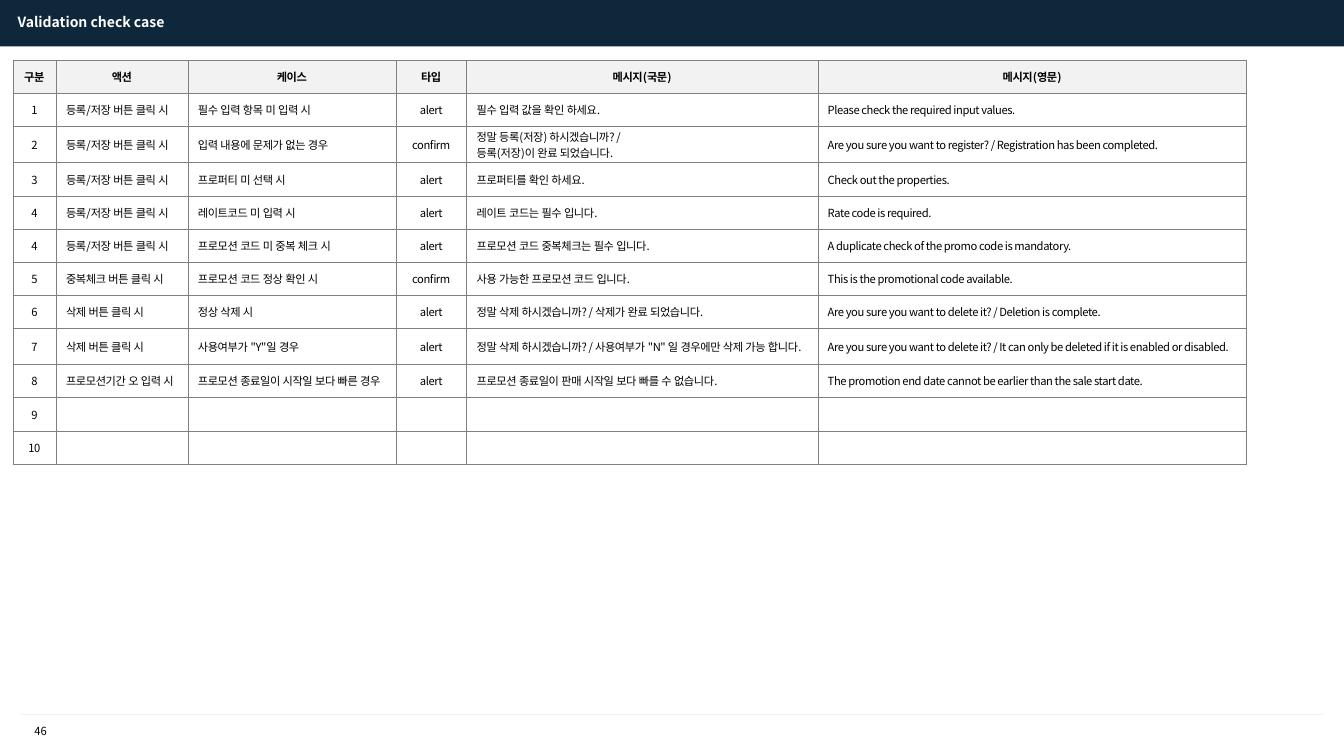
from dataclasses import dataclass

from lxml.etree import SubElement
from pptx import Presentation
from pptx.dml.color import RGBColor
from pptx.enum.lang import MSO_LANGUAGE_ID as LANG
from pptx.enum.shapes import MSO_CONNECTOR, MSO_SHAPE
from pptx.enum.text import MSO_ANCHOR as ANCHOR, MSO_AUTO_SIZE as FIT, PP_ALIGN as ALIGN
from pptx.oxml.ns import qn
from pptx.util import Pt


@dataclass(frozen=True)
class Theme:
    font: str = "Noto Sans CJK KR"
    navy: str = "0E273B"
    white: str = "FFFFFF"
    black: str = "000000"
    pale: str = "F2F2F2"
    border: str = "808080"
    title_size: float = 10
    body_size: float = 8
    spacing: float = -0.3


THEME = Theme()
TITLE_ONLY = 5
COLUMN_WIDTHS = (30.9, 94.2, 148.6, 50.5, 250.8, 306.4)
ROW_HEIGHT = 23.7
CENTRED_COLUMNS = (0, 3)
HEADER = ("구분", "액션", "케이스", "타입", "메시지(국문)", "메시지(영문)")
SAVE = "등록/저장 버튼 클릭 시"
DELETE = "삭제 버튼 클릭 시"
CASES = (
    ("1", SAVE, "필수 입력 항목 미 입력 시", "alert",
     "필수 입력 값을 확인 하세요.", "Please check the required input values."),
    ("2", SAVE, "입력 내용에 문제가 없는 경우", "confirm",
     "정말 등록(저장) 하시겠습니까? /\n등록(저장)이 완료 되었습니다.",
     "Are you sure you want to register? / Registration has been completed."),
    ("3", SAVE, "프로퍼티 미 선택 시", "alert",
     "프로퍼티를 확인 하세요.", "Check out the properties."),
    ("4", SAVE, "레이트코드 미 입력 시", "alert",
     "레이트 코드는 필수 입니다.", "Rate code is required."),
    ("4", SAVE, "프로모션 코드 미 중복 체크 시", "alert",
     "프로모션 코드 중복체크는 필수 입니다.",
     "A duplicate check of the promo code is mandatory."),
    ("5", "중복체크 버튼 클릭 시", "프로모션 코드 정상 확인 시", "confirm",
     "사용 가능한 프로모션 코드 입니다.", "This is the promotional code available."),
    ("6", DELETE, "정상 삭제 시", "alert",
     "정말 삭제 하시겠습니까? / 삭제가 완료 되었습니다.",
     "Are you sure you want to delete it? / Deletion is complete."),
    ("7", DELETE, '사용여부가 "Y"일 경우', "alert",
     '정말 삭제 하시겠습니까? / 사용여부가 "N" 일 경우에만 삭제 가능 합니다.',
     "Are you sure you want to delete it? / It can only be deleted if it is enabled or disabled."),
    ("8", "프로모션기간 오 입력 시", "프로모션 종료일이 시작일 보다 빠른 경우", "alert",
     "프로모션 종료일이 판매 시작일 보다 빠를 수 없습니다.",
     "The promotion end date cannot be earlier than the sale start date."),
    ("9", "", "", "", "", ""),
    ("10", "", "", "", "", ""),
)


def rgb(color):
    return RGBColor.from_string(color)


def write(tf, text, size, color, bold=False, align=ALIGN.LEFT, spacing=0):
    """Fill a text frame with one paragraph per line of text."""
    for i, line in enumerate(text.split("\n")):
        p = tf.paragraphs[0] if i == 0 else tf.add_paragraph()
        p.alignment = align
        if not line:
            SubElement(p._p, qn("a:endParaRPr"), sz=str(int(size * 100)))
            continue
        r = p.add_run()
        r.text = line
        r.font.size = Pt(size)
        r.font.bold = bold
        r.font.color.rgb = rgb(color)
        r.font.name = THEME.font
        r.font.language_id = LANG.KOREAN
        props = r._r.get_or_add_rPr()
        SubElement(props, qn("a:ea"), typeface=THEME.font)
        if spacing:
            props.set("spc", str(round(spacing * 100)))


def place(sp, left, top, width, height):
    sp.left, sp.top, sp.width, sp.height = Pt(left), Pt(top), Pt(width), Pt(height)


def set_frame(tf, wrap):
    tf.auto_size = FIT.NONE
    tf.word_wrap = wrap
    tf.vertical_anchor = ANCHOR.MIDDLE
    tf.margin_left = tf.margin_right = Pt(7.2)
    tf.margin_top = tf.margin_bottom = 0


def add_header_bar(s, width):
    bar = s.shapes.add_shape(MSO_SHAPE.RECTANGLE, 0, 0, width, Pt(33.1))
    bar.shadow.inherit = False
    bar.fill.solid()
    bar.fill.fore_color.rgb = rgb(THEME.navy)
    bar.line.fill.background()
    s.shapes._spTree.insert(2, bar._element)  # behind the title


def set_title(s, text):
    title = s.shapes.title
    place(title, 5.4, 6.2, 247.7, 19.4)
    set_frame(title.text_frame, True)
    write(title.text_frame, text, THEME.title_size, THEME.white, bold=True)


def add_page_number(s, text):
    sp = s.shapes.add_textbox(Pt(11.7), Pt(513.4), Pt(34.6), Pt(17.3))
    set_frame(sp.text_frame, False)
    write(sp.text_frame, text, THEME.body_size, THEME.black, align=ALIGN.CENTER)


def add_footer_line(s):
    line = s.shapes.add_connector(MSO_CONNECTOR.STRAIGHT, Pt(15), Pt(510.3), Pt(944.8), Pt(510.3))
    line.line.color.rgb = rgb(THEME.pale)
    line.line.width = Pt(0.75)
    SubElement(line._element.spPr, qn("a:effectLst"))


def set_borders(cell):
    props = cell._tc.get_or_add_tcPr()
    for i, side in enumerate(("a:lnL", "a:lnR", "a:lnT", "a:lnB")):
        ln = SubElement(props, qn(side), w=str(Pt(0.25)))
        SubElement(SubElement(ln, qn("a:solidFill")), qn("a:srgbClr"), val=THEME.border)
        props.insert(i, ln)


def add_case_table(s):
    rows = (HEADER, *CASES)
    frame = s.shapes.add_table(len(rows), len(HEADER), Pt(9.1), Pt(43),
                               Pt(sum(COLUMN_WIDTHS)), Pt(ROW_HEIGHT * len(rows)))
    table = frame.table
    table.first_row = table.horz_banding = False
    for column, width in zip(table.columns, COLUMN_WIDTHS):
        column.width = Pt(width)
    for i, texts in enumerate(rows):
        table.rows[i].height = Pt(ROW_HEIGHT)
        head = i == 0
        for j, text in enumerate(texts):
            cell = table.cell(i, j)
            cell.fill.solid()
            cell.fill.fore_color.rgb = rgb(THEME.pale if head else THEME.white)
            cell.vertical_anchor = ANCHOR.MIDDLE
            cell.margin_left, cell.margin_right = Pt(7.2), Pt(8.5)
            cell.margin_top = cell.margin_bottom = Pt(1.2)
            set_borders(cell)
            align = ALIGN.LEFT
            if head or j in CENTRED_COLUMNS:
                align = ALIGN.CENTER
                cell.margin_right = Pt(7.2)
            write(cell.text_frame, text, THEME.body_size, THEME.black, head, align, THEME.spacing)


def main():
    prs = Presentation()
    prs.slide_width, prs.slide_height = Pt(960), Pt(540)
    s = prs.slides.add_slide(prs.slide_layouts[TITLE_ONLY])
    add_header_bar(s, prs.slide_width)
    add_footer_line(s)
    add_page_number(s, "46")
    set_title(s, "Validation check case")
    add_case_table(s)
    prs.save("out.pptx")


if __name__ == "__main__":
    main()
